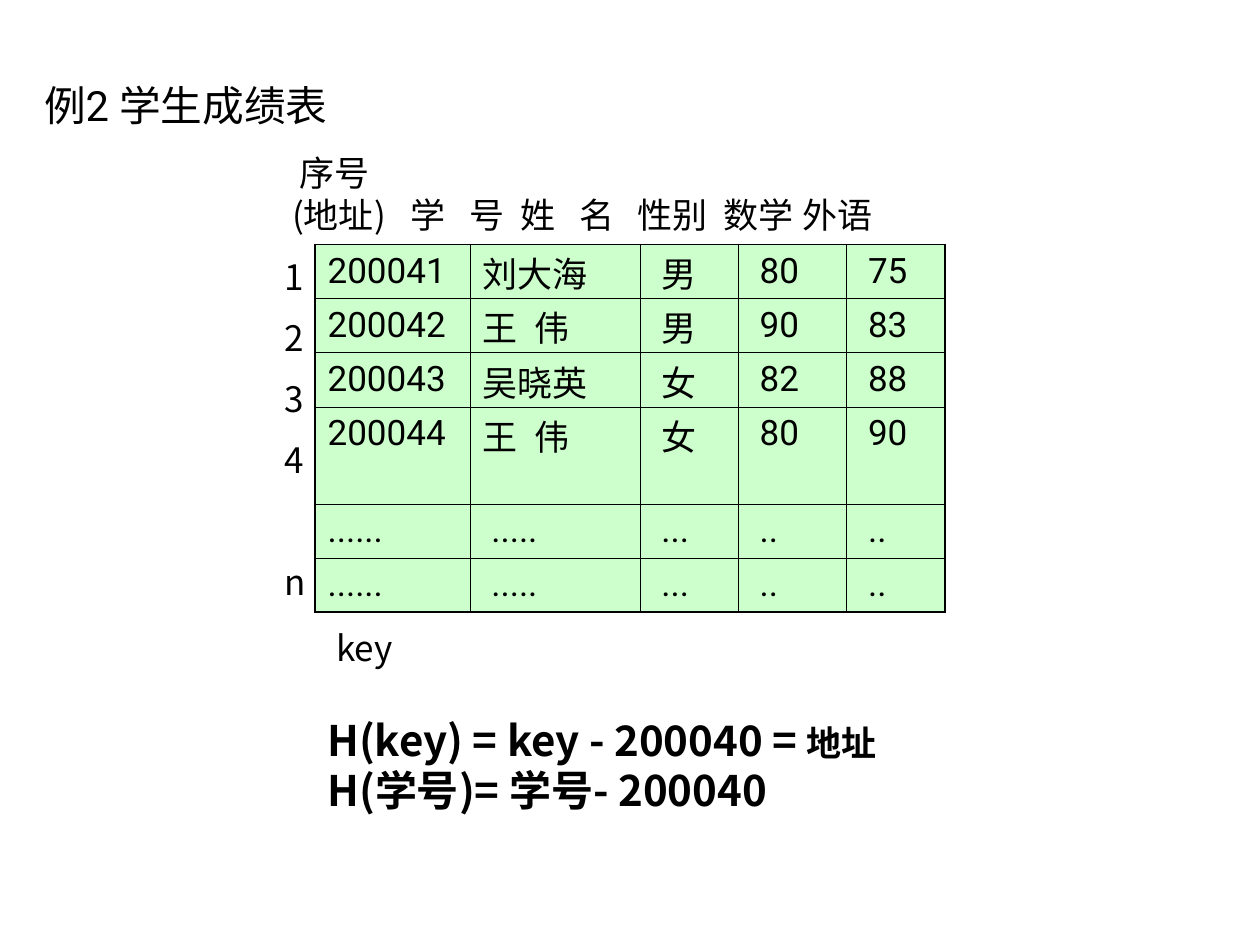
import pptx
import pptx.dml.color
import pptx.enum.text
import pptx.oxml.ns
import pptx.util
from lxml import etree

Inches = pptx.util.Inches
Pt = pptx.util.Pt
qn = pptx.oxml.ns.qn
SANS = "Noto Sans CJK SC"
ROWS = [
    ["200041", "刘大海", "男", "80", "75"],
    ["200042", "王\t伟", "男", "90", "83"],
    ["200043", "吴晓英", "女", "82", "88"],
    ["200044", "王\t伟", "女", "80", "90"],
    ["......", ".....", "...", "..", ".."],
    ["......", ".....", "...", "..", ".."],
]


def color(value):
    return pptx.dml.color.RGBColor.from_string(value)


def format_run(r, size, name=SANS, bold=False):
    r.font.size = Pt(size)
    r.font.name = name
    r.font.bold = bold
    r.font.color.rgb = color("000000")
    if name == SANS:
        rPr = r._r.get_or_add_rPr()
        rPr.find(qn("a:latin")).addnext(rPr.makeelement(qn("a:ea"), {"typeface": name}))


def format_text(tf, size, name=SANS, bold=False):
    for p in tf.paragraphs:
        for r in p.runs:
            format_run(r, size, name, bold)


def add_tabs(p, stops):
    tabs = etree.SubElement(p._p.get_or_add_pPr(), qn("a:tabLst"))
    for stop in stops:
        etree.SubElement(tabs, qn("a:tab"), pos=str(Inches(stop)), algn="l")


def add_title(s, text):
    sp = s.shapes.title
    sp.left, sp.top, sp.width, sp.height = map(Inches, (0.25, 0.58, 9.25, 0.5))
    tf = sp.text_frame
    tf.text = text
    tf.auto_size = pptx.enum.text.MSO_AUTO_SIZE.NONE
    tf.vertical_anchor = pptx.enum.text.MSO_ANCHOR.MIDDLE
    tf.paragraphs[0].alignment = pptx.enum.text.PP_ALIGN.LEFT
    format_text(tf, 23.8, "Roboto")


def add_text(s, box, text, size=20, bold=False, wrap=False):
    tf = s.shapes.add_textbox(*map(Inches, box)).text_frame
    tf.word_wrap = wrap
    tf.text = text
    format_text(tf, size, bold=bold)
    return tf


def set_border(cell, side, width):
    ln = etree.SubElement(cell._tc.get_or_add_tcPr(), qn("a:ln" + side), w=str(Pt(width)))
    fill = etree.SubElement(ln, qn("a:solidFill"))
    etree.SubElement(fill, qn("a:srgbClr"), val="000000")


def add_scores(s):
    widths = [1.23, 1.35, 0.78, 0.86, 0.78]
    heights = [0.43, 0.43, 0.43, 0.77, 0.43, 0.43]
    box = map(Inches, (2.5, 1.94, sum(widths), sum(heights)))
    table = s.shapes.add_table(len(ROWS), len(widths), *box).table
    table.first_row = table.horz_banding = False
    for column, width in zip(table.columns, widths):
        column.width = Inches(width)
    for i, (values, height) in enumerate(zip(ROWS, heights)):
        table.rows[i].height = Inches(height)
        for j, value in enumerate(values):
            cell = table.cell(i, j)
            edges = {"L": j == 0, "R": j == len(widths) - 1,
                     "T": i == 0, "B": i == len(ROWS) - 1}
            for side, outer in edges.items():
                set_border(cell, side, 1.08 if outer else 0.45)
            cell.fill.solid()
            cell.fill.fore_color.rgb = color("CCFFCC")
            indented = j > 1 or (j == 1 and value.startswith("."))
            cell.margin_left = Inches(0.17 if indented else 0.1)
            cell.margin_top = Inches(0.05 if value.isascii() and "\t" not in value else 0.02)
            cell.margin_bottom = 0
            tf = cell.text_frame
            tf.text = value
            if "\t" in value:
                add_tabs(tf.paragraphs[0], [0.41])
            format_text(tf, 20, "Roboto")


def add_row_numbers(s):
    tf = add_text(s, (2.16, 1.83, 0.43, 3), "1\n2\n3\n4\nn")
    for p in tf.paragraphs:
        p.line_spacing = 1.45
    tf.paragraphs[-1].space_before = Pt(35)


def add_headings(s):
    text = "序号\n(地址)\t学\t号\t姓\t名\t性别\t数学\t外语"
    tf = add_text(s, (2.22, 1.15, 4.8, 0.77), text, wrap=True)
    tf.margin_right = 0
    tf.paragraphs[0]._p.get_or_add_pPr().set("marL", str(Inches(0.06)))
    add_tabs(tf.paragraphs[1], [0.94, 1.41, 1.81, 2.28, 2.74, 3.42, 4.05])


def add_formulas(s):
    text = "H(key) = key - 200040 = \nH(学号)= 学号- 200040"
    tf = add_text(s, (2.5, 5.62, 5, 0.9), text, 24, True, True)
    r = tf.paragraphs[0].add_run()
    r.text = "地址"
    format_run(r, 20, bold=True)


def main():
    prs = pptx.Presentation()
    prs.slide_width, prs.slide_height = Inches(10), Inches(7.5)
    s = prs.slides.add_slide(prs.slide_layouts[5])
    add_title(s, "例2 学生成绩表")
    add_scores(s)
    add_row_numbers(s)
    add_text(s, (2.57, 4.92, 0.65, 0.44), "key")
    add_headings(s)
    add_formulas(s)
    prs.save("out.pptx")


if __name__ == "__main__":
    main()
